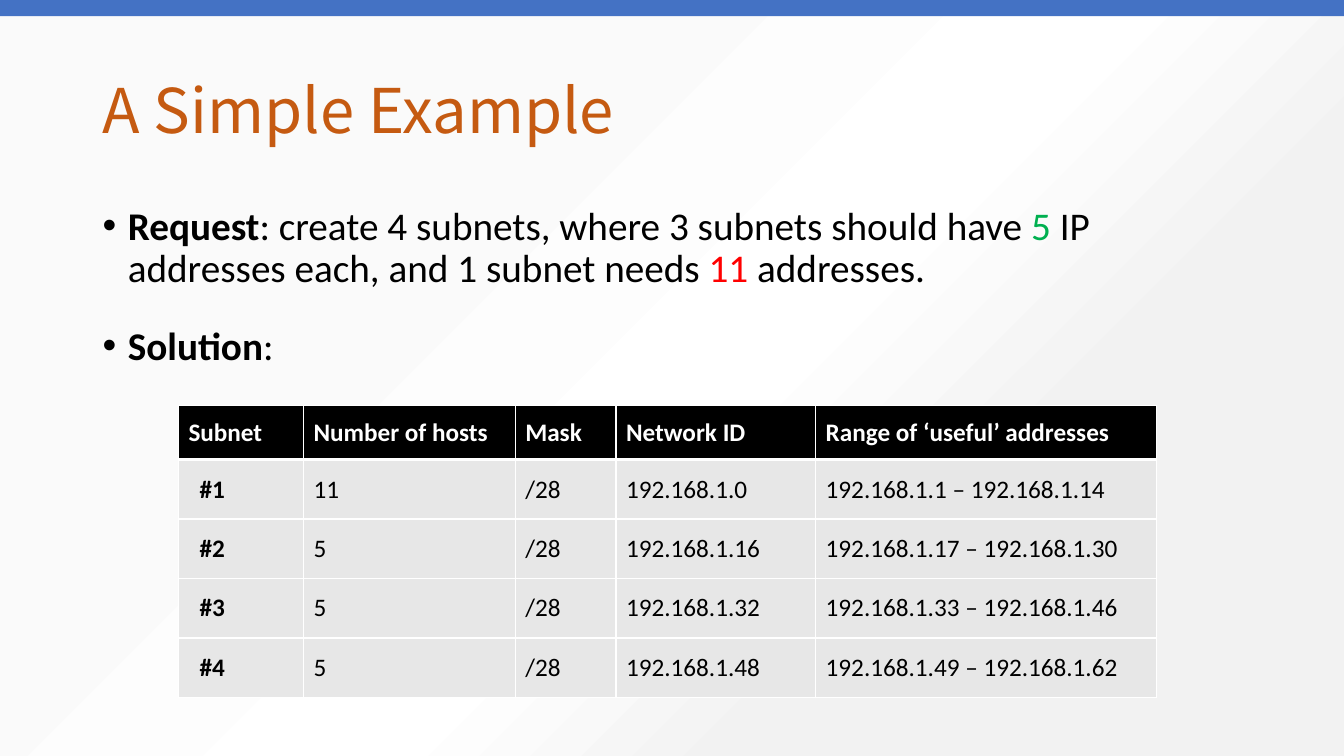
from lxml import etree
from pptx import Presentation
from pptx.dml.color import RGBColor
from pptx.enum.shapes import MSO_SHAPE
from pptx.enum.text import MSO_ANCHOR
from pptx.oxml.ns import qn
from pptx.util import Inches, Pt

RECTANGLE = MSO_SHAPE.RECTANGLE
MIDDLE = MSO_ANCHOR.MIDDLE
BLACK = RGBColor(0x00, 0x00, 0x00)
WHITE = RGBColor(0xFF, 0xFF, 0xFF)
ORANGE = RGBColor(0xC5, 0x5A, 0x11)
GREEN = RGBColor(0x00, 0xB0, 0x50)
RED = RGBColor(0xFF, 0x00, 0x00)
BLUE = RGBColor(0x44, 0x72, 0xC4)
CELL_GRAY = RGBColor(0xE7, 0xE7, 0xE7)
NEAR_WHITE = RGBColor(0xFA, 0xFA, 0xFA)
PALE_GRAY = RGBColor(0xF2, 0xF2, 0xF2)

TITLE_FONT = "Noto Sans CJK SC"
BODY_FONT = "Calibri"
BACKGROUND_STOPS = [(29, NEAR_WHITE), (54, WHITE), (71, PALE_GRAY), (87, PALE_GRAY)]

# Each paragraph is a list of (text, colour, bold) spans.
BODY = [
    [
        ("Request", BLACK, True),
        (": create 4 subnets, where 3 subnets should have ", BLACK, False),
        ("5", GREEN, False),
        (" IP addresses each, and 1 subnet needs ", BLACK, False),
        ("11", RED, False),
        (" addresses.", BLACK, False),
    ],
    [("Solution", BLACK, True), (":", BLACK, False)],
]

COLUMN_WIDTHS = [1.24, 2.1, 1, 1.98, 3.38]
ROW_HEIGHTS = [0.54, 0.59, 0.59, 0.59, 0.59]
SUBNETS = [
    ["Subnet", "Number of hosts", "Mask", "Network ID", "Range of ‘useful’ addresses"],
    ["#1", "11", "/28", "192.168.1.0", "192.168.1.1 – 192.168.1.14"],
    ["#2", "5", "/28", "192.168.1.16", "192.168.1.17 – 192.168.1.30"],
    ["#3", "5", "/28", "192.168.1.32", "192.168.1.33 – 192.168.1.46"],
    ["#4", "5", "/28", "192.168.1.48", "192.168.1.49 – 192.168.1.62"],
]


def style(span, font_name, size, color, bold=False):
    span.font.name = font_name
    span.font.size = Pt(size)
    span.font.color.rgb = color
    span.font.bold = bold


def add_color(parent, color):
    etree.SubElement(parent, qn("a:srgbClr"), val=str(color))


def paint_background(page):
    fill = page.background.fill
    fill.gradient()
    fill.gradient_angle = 315
    stops = next(page.element.iter(qn("a:gsLst")))
    for stop in list(stops):
        stops.remove(stop)
    for percent, color in BACKGROUND_STOPS:
        stop = etree.SubElement(stops, qn("a:gs"), pos=str(percent * 1000))
        add_color(stop, color)


def add_text_box(page, left, top, width, height):
    box = page.shapes.add_textbox(
        Inches(left), Inches(top), Inches(width), Inches(height)
    )
    box.text_frame.word_wrap = True
    return box.text_frame


def add_title(page, text):
    frame = add_text_box(page, 0.92, 0.4, 11.5, 1.45)
    frame.vertical_anchor = MIDDLE
    frame.text = text
    para = frame.paragraphs[0]
    para.line_spacing = 0.9
    style(para.runs[0], TITLE_FONT, 44, ORANGE)


def add_bullet(para):
    properties = para._p.get_or_add_pPr()
    properties.set("marL", str(Inches(0.25)))
    properties.set("indent", str(Inches(-0.25)))
    etree.SubElement(properties, qn("a:buFont"), typeface="Arial")
    etree.SubElement(properties, qn("a:buChar"), char="•")


def add_body(page):
    frame = add_text_box(page, 0.92, 2, 11.5, 4.76)
    for index, spans in enumerate(BODY):
        para = frame.add_paragraph() if index else frame.paragraphs[0]
        add_bullet(para)
        para.line_spacing = 0.9
        para.space_before = Pt(25 if index else 0)
        for text, color, bold in spans:
            span = para.add_run()
            span.text = text
            style(span, BODY_FONT, 28, color, bold)


def add_top_bar(page):
    bar = page.shapes.add_shape(
        RECTANGLE, Inches(0), Inches(0), Inches(13.33), Inches(0.16)
    )
    bar.shadow.inherit = False
    bar.fill.solid()
    bar.fill.fore_color.rgb = BLUE
    bar.line.fill.background()


def add_borders(cell, top, bottom):
    """Draw white borders; top and bottom are widths in points."""
    properties = cell._tc.get_or_add_tcPr()
    widths = {"a:lnL": 1, "a:lnR": 1, "a:lnT": top, "a:lnB": bottom}
    for position, (tag, width) in enumerate(widths.items()):
        line = etree.Element(qn(tag), w=str(Pt(width)))
        add_color(etree.SubElement(line, qn("a:solidFill")), WHITE)
        properties.insert(position, line)


def add_subnet_table(page):
    frame = page.shapes.add_table(
        len(SUBNETS), len(COLUMN_WIDTHS),
        Inches(1.77), Inches(4.02), Inches(9.7), Inches(2.9),
    )
    table = frame.table
    for column, width in zip(table.columns, COLUMN_WIDTHS):
        column.width = Inches(width)
    for row, height in zip(table.rows, ROW_HEIGHTS):
        row.height = Inches(height)
    for row_index, texts in enumerate(SUBNETS):
        header = row_index == 0
        for column_index, text in enumerate(texts):
            cell = table.cell(row_index, column_index)
            cell.text = text
            cell.vertical_anchor = MIDDLE
            cell.fill.solid()
            cell.fill.fore_color.rgb = BLACK if header else CELL_GRAY
            first_column = column_index == 0
            if first_column and not header:
                cell.margin_left = Inches(0.21)
            style(
                cell.text_frame.paragraphs[0].runs[0], BODY_FONT, 18,
                WHITE if header else BLACK, header or first_column,
            )
            add_borders(cell, 3 if row_index == 1 else 1, 3 if header else 1)


def main():
    deck = Presentation()
    deck.slide_width = Inches(13.33)
    deck.slide_height = Inches(7.5)
    page = deck.slides.add_slide(deck.slide_layouts[6])
    paint_background(page)
    add_title(page, "A Simple Example")
    add_body(page)
    add_top_bar(page)
    add_subnet_table(page)
    deck.save("out.pptx")


if __name__ == "__main__":
    main()
